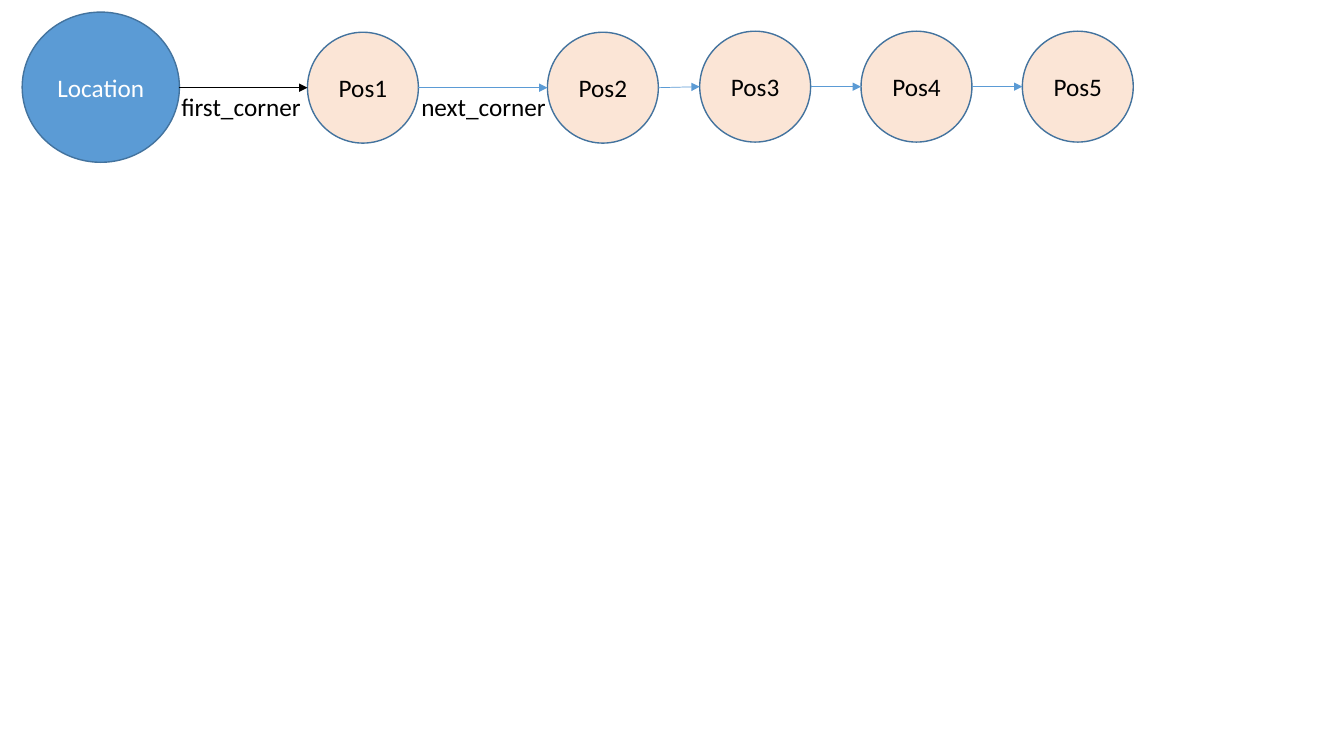
from lxml import etree
from pptx import Presentation
from pptx.dml.color import RGBColor
from pptx.enum.shapes import MSO_CONNECTOR, MSO_SHAPE
from pptx.enum.text import MSO_ANCHOR, MSO_AUTO_SIZE, PP_ALIGN
from pptx.oxml.ns import qn
from pptx.util import Inches, Pt

OVAL = MSO_SHAPE.OVAL
STRAIGHT = MSO_CONNECTOR.STRAIGHT
MIDDLE = MSO_ANCHOR.MIDDLE
FIT_SHAPE = MSO_AUTO_SIZE.SHAPE_TO_FIT_TEXT
LEFT, CENTER = PP_ALIGN.LEFT, PP_ALIGN.CENTER

BLUE = RGBColor(0x5B, 0x9B, 0xD5)
OUTLINE = RGBColor(0x43, 0x73, 0x9E)
PEACH = RGBColor(0xFB, 0xE5, 0xD6)
BLACK = RGBColor(0, 0, 0)
WHITE = RGBColor(0xFF, 0xFF, 0xFF)

POS_SIZE = 1.1
# Name, left, top
POSITIONS = [
    ("Pos1", 3.05, 0.32),
    ("Pos2", 5.43, 0.32),
    ("Pos3", 6.94, 0.31),
    ("Pos4", 8.54, 0.31),
    ("Pos5", 10.14, 0.31),
]


def add_text(tf, text, color, align):
    p = tf.paragraphs[0]
    p.alignment = align
    r = p.add_run()
    r.text = text
    r.font.name = "Calibri"
    r.font.size = Pt(18)
    r.font.color.rgb = color


def add_node(s, text, left, top, width, height, fill, color):
    sp = s.shapes.add_shape(OVAL, Inches(left), Inches(top),
                            Inches(width), Inches(height))
    sp.shadow.inherit = False
    sp.fill.solid()
    sp.fill.fore_color.rgb = fill
    sp.line.color.rgb = OUTLINE
    sp.line.width = Pt(1)
    sp.text_frame.vertical_anchor = MIDDLE
    add_text(sp.text_frame, text, color, CENTER)


def add_arrow(s, x1, y1, x2, y2, color):
    cxn = s.shapes.add_connector(STRAIGHT, Inches(x1), Inches(y1),
                                 Inches(x2), Inches(y2))
    cxn.line.color.rgb = color
    cxn.line.width = Pt(0.5)
    props = cxn.element.spPr
    etree.SubElement(props.find(qn("a:ln")), qn("a:tailEnd"), type="triangle")
    etree.SubElement(props, qn("a:effectLst"))


def add_label(s, text, left, top, width):
    sp = s.shapes.add_textbox(Inches(left), Inches(top),
                              Inches(width), Inches(0.4))
    tf = sp.text_frame
    tf.word_wrap = False
    tf.auto_size = FIT_SHAPE
    add_text(tf, text, BLACK, LEFT)


def main():
    prs = Presentation()
    prs.slide_width, prs.slide_height = Inches(13.33), Inches(7.5)
    s = prs.slides.add_slide(prs.slide_layouts[6])

    # Location and its chain of positions
    add_node(s, "Location", 0.22, 0.12, 1.56, 1.49, BLUE, WHITE)
    for name, left, top in POSITIONS:
        add_node(s, name, left, top, POS_SIZE, POS_SIZE, PEACH, BLACK)

    # Arrows from each node's right edge to the next node's left edge
    x, y, color = 1.78, 0.87, BLACK
    for _, left, top in POSITIONS:
        middle = top + POS_SIZE / 2
        add_arrow(s, x, y, left, middle, color)
        x, y, color = left + POS_SIZE, middle, BLUE

    # Arrow labels
    add_label(s, "first_corner", 1.7, 0.86, 1.4)
    add_label(s, "next_corner", 4.08, 0.86, 1.45)

    prs.save("out.pptx")


if __name__ == "__main__":
    main()
